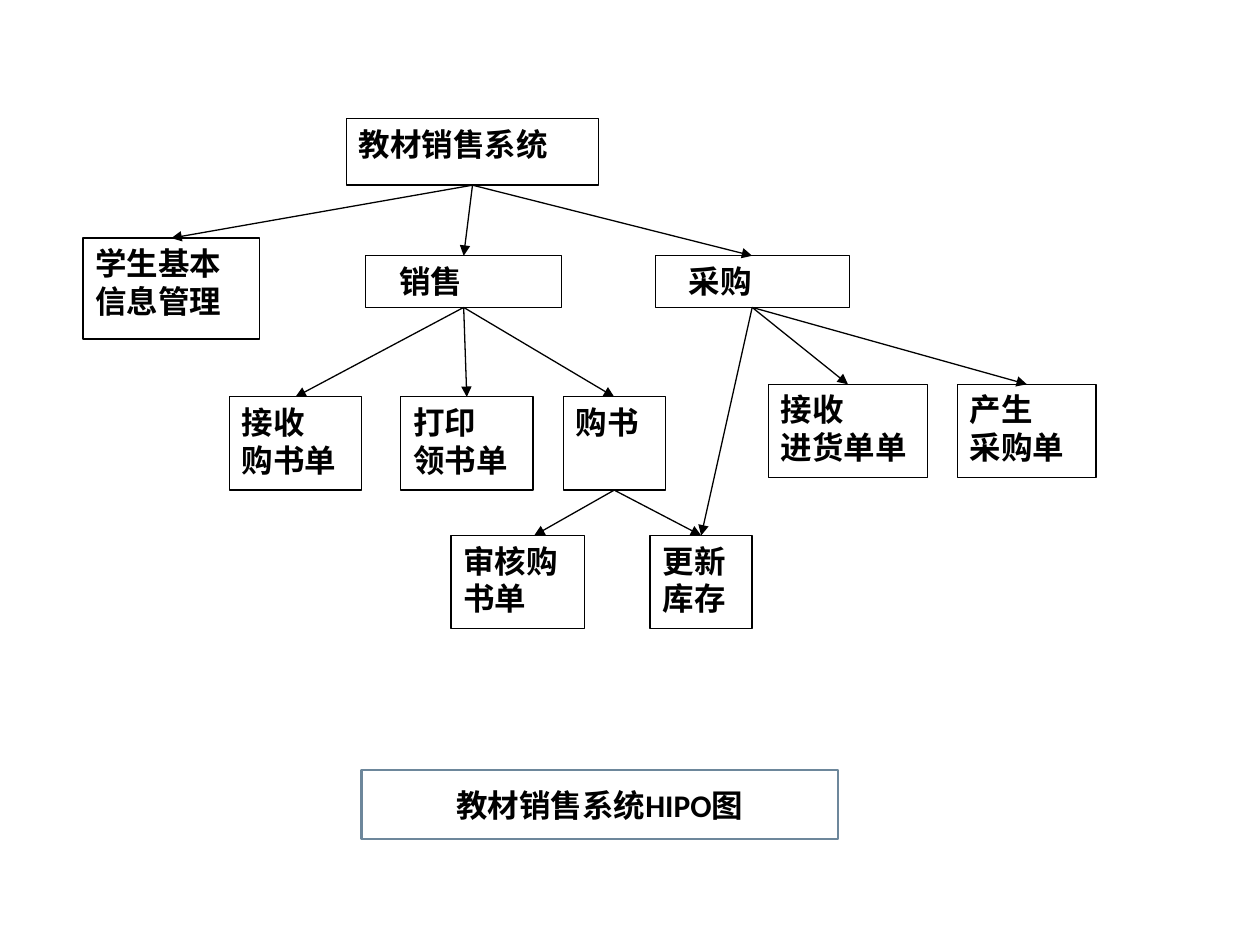
from lxml import etree
from pptx import Presentation, util as u
from pptx.dml.color import RGBColor
from pptx.enum import shapes, text
from pptx.oxml.ns import qn

COLOURS = {"ink": "000000", "paper": "FFFFFF", "frame": "6D879B"}
COLUMNS, ROWS = 100, 75
CELL = u.Inches(0.1)
INDENT = 1.7

# Module: (column, row, columns wide, rows high, lines, first-line indent)
MODULES = {
    "system": (27.5, 9.4, 20, 5.3, ["教材销售系统"], 0),
    "students": (6.6, 18.9, 14, 8, ["学生基本", "信息管理"], 0),
    "sales": (29, 20.3, 15.6, 4.1, ["销售"], INDENT),
    "purchasing": (52, 20.3, 15.4, 4.1, ["采购"], INDENT),
    "receive order": (18.2, 31.5, 10.5, 7.4, ["接收", "购书单"], 0),
    "print slip": (31.8, 31.5, 10.5, 7.4, ["打印", "领书单"], 0),
    "buy books": (44.7, 31.5, 8.1, 7.4, ["购书"], 0),
    "receive goods": (61, 30.5, 12.6, 7.4, ["接收", "进货单单"], 0),
    "make purchase": (76, 30.5, 11, 7.4, ["产生", "采购单"], 0),
    "check order": (35.8, 42.5, 10.6, 7.4, ["审核购书单"], 0),
    "update stock": (51.6, 42.5, 8.1, 7.4, ["更新库存"], 0),
}
CALLS = {
    "system": ["students", "sales", "purchasing"],
    "sales": ["receive order", "print slip", "buy books"],
    "purchasing": ["receive goods", "make purchase", "update stock"],
    "buy books": ["check order", "update stock"],
}
# Arrows that land beside the middle of a module's top edge
LANDING_SHIFT = {"check order": 1.3}


def cells(count):
    return u.Emu(round(count * CELL))


def colour(name):
    return RGBColor.from_string(COLOURS[name])


def add_box(page, place, lines, line_colour="ink", width=0.75, indent=0):
    box = page.shapes.add_shape(shapes.MSO_SHAPE.RECTANGLE, *map(cells, place))
    box.shadow.inherit = False
    box.fill.solid()
    box.fill.fore_color.rgb = colour("paper")
    box.line.color.rgb = colour(line_colour)
    box.line.width = u.Pt(width)
    frame = box.text_frame
    frame.word_wrap = True
    frame.vertical_anchor = text.MSO_ANCHOR.TOP
    frame.text = "\n".join(lines)
    for para in frame.paragraphs:
        para.alignment = text.PP_ALIGN.LEFT
        para.font.name = "Calibri"
        para.font.size = u.Pt(18)
        para.font.bold = True
        para.font.color.rgb = colour("ink")
        if indent:
            para._p.get_or_add_pPr().set("indent", str(cells(indent)))
    return box


def add_arrow(page, parent, child, shift=0):
    """Join the parent's bottom edge to the child's top edge."""
    arrow = page.shapes.add_connector(
        shapes.MSO_CONNECTOR.STRAIGHT,
        parent.left + parent.width // 2, parent.top + parent.height,
        child.left + child.width // 2 + cells(shift), child.top)
    arrow.begin_connect(parent, 2)
    if not shift:
        arrow.end_connect(child, 0)
    arrow.line.color.rgb = colour("ink")
    arrow.line.width = u.Pt(0.75)
    etree.SubElement(arrow.line._get_or_add_ln(), qn("a:tailEnd"), type="triangle")
    etree.SubElement(arrow._element.spPr, qn("a:effectLst"))


def add_caption(page):
    caption = add_box(page, (28.7, 61.1, 37.8, 5.5), ["教材销售系统HIPO图"], "frame", 1.5)
    caption.fill.background()
    caption.text_frame.vertical_anchor = text.MSO_ANCHOR.MIDDLE
    caption.text_frame.paragraphs[0].alignment = text.PP_ALIGN.CENTER


def main():
    deck = Presentation()
    deck.slide_width, deck.slide_height = cells(COLUMNS), cells(ROWS)
    page = deck.slides.add_slide(deck.slide_layouts[6])

    # Modules
    boxes = {name: add_box(page, place, lines, indent=indent)
             for name, (*place, lines, indent) in MODULES.items()}

    # Calls between modules
    for parent, children in CALLS.items():
        for child in children:
            add_arrow(page, boxes[parent], boxes[child], LANDING_SHIFT.get(child, 0))

    # Caption
    add_caption(page)
    deck.save("out.pptx")


if __name__ == "__main__":
    main()
